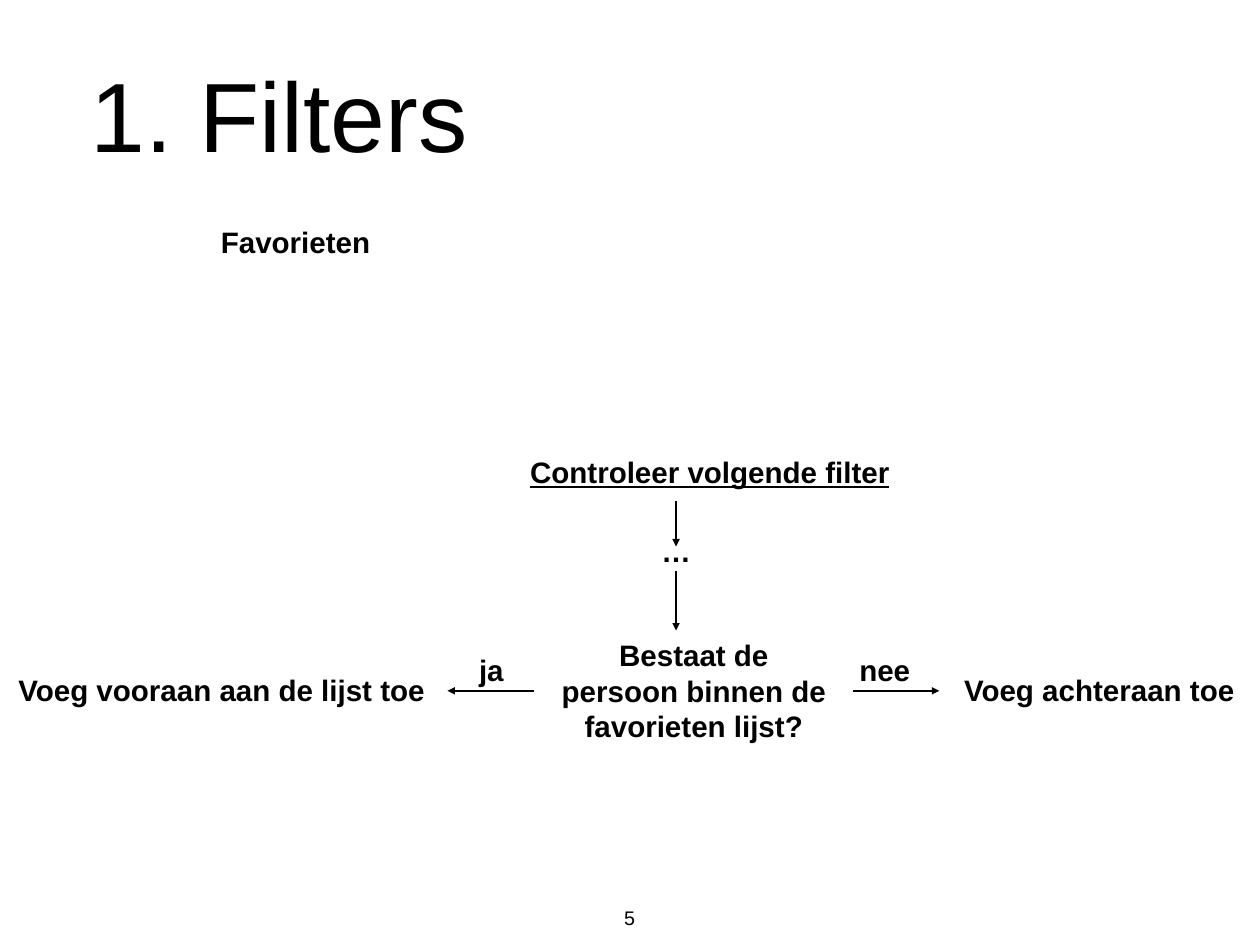
from lxml import etree
from pptx import Presentation
from pptx.dml.color import RGBColor
from pptx.enum import shapes, text
from pptx.oxml import ns
from pptx.util import Inches, Pt

BLACK = RGBColor(0x00, 0x00, 0x00)
FONT = "Arial"
INSET = Inches(0.06)
LABEL_HEIGHT = 0.5
FILTER_X = 7.63
ANSWER_Y = 7.8


def fill_text(shape, wording, size, anchor, wrap=False, bold=False, underline=False):
    """Write centred black text into a shape."""
    frame = shape.text_frame
    frame.text = wording
    frame.word_wrap = wrap
    frame.auto_size = text.MSO_AUTO_SIZE.NONE
    frame.vertical_anchor = anchor
    frame.margin_left = frame.margin_right = INSET
    frame.margin_top = frame.margin_bottom = INSET
    paragraph = frame.paragraphs[0]
    paragraph.alignment = text.PP_ALIGN.CENTER
    font = paragraph.runs[0].font
    font.name, font.size, font.color.rgb = FONT, Pt(size), BLACK
    font.bold, font.underline = bold, underline


def add_title(slide, wording):
    """Place and format the title placeholder."""
    title = slide.shapes.title
    title.left, title.top = Inches(-2.57), Inches(-1.61)
    title.width, title.height = Inches(11.44), Inches(3.61)
    fill_text(title, wording, 80, text.MSO_ANCHOR.BOTTOM, wrap=True)


def add_label(slide, wording, left, top, width, height=LABEL_HEIGHT, **style):
    """Add a bold label of the flow."""
    label = slide.shapes.add_textbox(
        Inches(left), Inches(top), Inches(width), Inches(height))
    fill_text(label, wording, 24, text.MSO_ANCHOR.MIDDLE, bold=True, **style)


def add_page_number(slide, number):
    """Add the page number at the foot of the slide."""
    box = slide.shapes.add_textbox(
        Inches(6.98), Inches(10.17), Inches(0.25), Inches(0.35))
    fill_text(box, number, 16, text.MSO_ANCHOR.TOP)


def add_arrow(slide, x1, y1, x2, y2):
    """Add a straight arrow that points at its second end."""
    arrow = slide.shapes.add_connector(
        shapes.MSO_CONNECTOR.STRAIGHT,
        Inches(x1), Inches(y1), Inches(x2), Inches(y2))
    arrow.line.color.rgb = BLACK
    arrow.line.width = Pt(2)
    etree.SubElement(arrow.line._get_or_add_ln(), ns.qn("a:tailEnd"), type="triangle")
    etree.SubElement(arrow._element.spPr, ns.qn("a:effectLst"))


def main():
    """Build the slide on the favourites filter."""
    deck = Presentation()
    deck.slide_width, deck.slide_height = Inches(14.22), Inches(10.67)
    slide = deck.slides.add_slide(deck.slide_layouts.get_by_name("Title Only"))

    add_title(slide, "1. Filters")
    add_label(slide, "Favorieten", 2.43, 2.47, 1.81, 0.52)
    add_label(slide, "Controleer volgende filter", 5.92, 5.08, 4.18, underline=True)
    add_label(slide, "…", 7.4, 5.97, 0.46)
    add_label(slide, "Bestaat de persoon binnen de favorieten lijst?",
              6.23, 7.14, 3.2, 1.31, wrap=True)

    for start, end in ((5.66, 6.17), (6.45, 7.12)):
        add_arrow(slide, FILTER_X, start, FILTER_X, end)
    for start, end in ((6.03, 5.05), (9.63, 10.6)):
        add_arrow(slide, start, ANSWER_Y, end, ANSWER_Y)

    for answer, left, width in (("ja", 5.34, 0.41), ("nee", 9.63, 0.71)):
        add_label(slide, answer, left, 7.31, width)
    for action, left, width in (("Voeg vooraan aan de lijst toe", 0.14, 4.72),
                                ("Voeg achteraan toe", 10.8, 3.21)):
        add_label(slide, action, left, 7.54, width)

    add_page_number(slide, "5")
    deck.save("out.pptx")


main()
